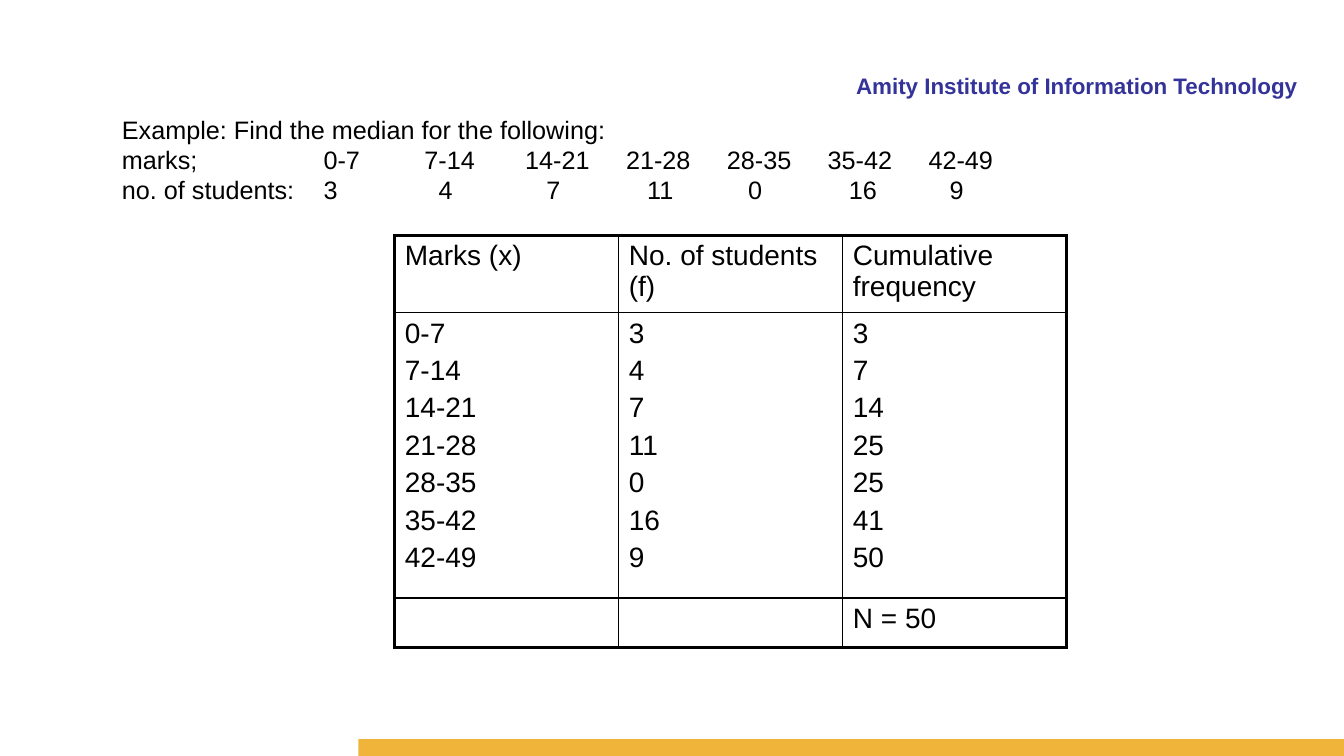
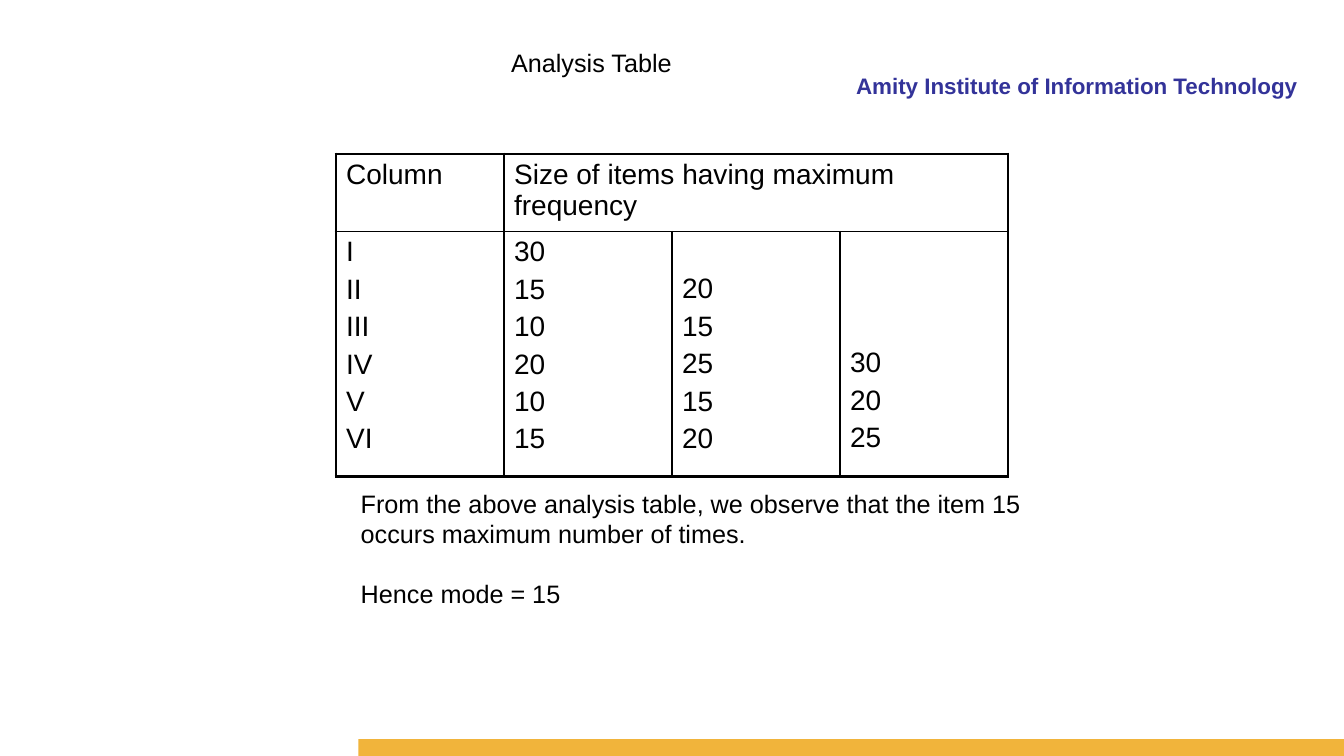
from lxml import etree
from pptx import Presentation
from pptx.dml.color import RGBColor
from pptx.enum.shapes import MSO_SHAPE
from pptx.enum.text import PP_ALIGN
from pptx.oxml.ns import qn
from pptx.util import Inches, Pt

LEFT, RIGHT = PP_ALIGN.LEFT, PP_ALIGN.RIGHT
RECTANGLE = MSO_SHAPE.RECTANGLE
SLIDE_WIDTH, SLIDE_HEIGHT = Inches(13.33), Inches(7.5)
GRID_COLUMNS, GRID_ROWS = 48, 27


def across(columns):
    return round(SLIDE_WIDTH * columns / GRID_COLUMNS)


def down(rows):
    return round(SLIDE_HEIGHT * rows / GRID_ROWS)


def color(value):
    return RGBColor.from_string(value)


def set_tabs(paragraph, stops):
    tab_list = etree.SubElement(paragraph._p.get_or_add_pPr(), qn("a:tabLst"))
    for stop in stops:
        etree.SubElement(tab_list, qn("a:tab"), pos=str(Inches(stop)), algn="l")


def write(frame, lines, font="Arial", size=18, ink="000000", bold=False,
          align=LEFT, gap=0, gaps={}, tabs={}):
    for index, line in enumerate(lines):
        paragraph = frame.add_paragraph() if index else frame.paragraphs[0]
        paragraph.alignment = align
        if index:
            paragraph.space_before = Pt(gaps.get(index, gap))
        if index in tabs:
            set_tabs(paragraph, tabs[index])
        run = paragraph.add_run()
        run.text = line
        run.font.name = font
        run.font.size = Pt(size)
        run.font.bold = bold
        run.font.color.rgb = color(ink)


class Deck:
    NAVY, GOLD, BLACK = "333399", "F1B43B", "000000"
    OUTER, INNER = 2.25, 1
    CELL_SIZE, CELL_GAP, CELL_LINE = 20, 4.4, 22

    def __init__(self):
        self.presentation = Presentation()
        self.presentation.slide_width = SLIDE_WIDTH
        self.presentation.slide_height = SLIDE_HEIGHT
        self.slide = None

    def new_slide(self):
        self.slide = self.presentation.slides.add_slide(self.presentation.slide_layouts[6])
        self.text(18.3, 2.4, 28.4, 1.2, ["Amity Institute of Information Technology"],
                  size=16, ink=self.NAVY, bold=True, align=RIGHT)
        self.band(12.8, 26.4, 35.2, 0.6)

    def band(self, left, top, width, height):
        shape = self.slide.shapes.add_shape(
            RECTANGLE, across(left), down(top), across(width), down(height))
        shape.shadow.inherit = False
        shape.fill.solid()
        shape.fill.fore_color.rgb = color(self.GOLD)
        shape.line.fill.background()

    def text(self, left, top, width, height, lines, **style):
        box = self.slide.shapes.add_textbox(
            across(left), down(top), across(width), down(height))
        box.text_frame.word_wrap = True
        write(box.text_frame, lines, **style)

    def table(self, left, top, column_width, heights, contents, merges=(), skipped={}):
        row_count, column_count = len(contents), len(contents[0])
        table = self.slide.shapes.add_table(
            row_count, column_count, across(left), down(top),
            across(column_width * column_count), down(sum(heights))).table
        table.first_row = table.horz_banding = False
        for column in table.columns:
            column.width = across(column_width)
        for row, height in zip(table.rows, heights):
            row.height = down(height)
        for first, last in merges:
            table.cell(*first).merge(table.cell(*last))
        for row, cells in enumerate(contents):
            for column, lines in enumerate(cells):
                cell = table.cell(row, column)
                if cell.is_spanned:
                    continue
                self.borders(cell, L=column == 0,
                             R=column + cell.span_width == column_count,
                             T=row == 0, B=row + cell.span_height == row_count)
                cell.fill.background()
                offset = skipped.get((row, column), 0)
                cell.margin_top = Inches(0.05) + Pt(offset * (self.CELL_LINE + self.CELL_GAP))
                write(cell.text_frame, lines, size=self.CELL_SIZE, gap=self.CELL_GAP)

    def borders(self, cell, **edges):
        properties = cell._tc.get_or_add_tcPr()
        for side, is_outer in edges.items():
            width = Pt(self.OUTER if is_outer else self.INNER)
            line = etree.SubElement(properties, qn(f"a:ln{side}"), w=str(width))
            fill = etree.SubElement(line, qn("a:solidFill"))
            etree.SubElement(fill, qn("a:srgbClr"), val=self.BLACK)


def median_slide(deck):
    marks = ["0-7", "7-14", "14-21", "21-28", "28-35", "35-42", "42-49"]
    students = ["3", "4", "7", "11", "0", "16", "9"]
    cumulative = ["3", "7", "14", "25", "25", "41", "50"]
    deck.new_slide()
    deck.text(4, 3.9, 32.15, 3.64, [
        "Example: Find the median for the following:",
        "\t".join(["marks;"] + marks),
        "\t".join(["no. of students:"] + students),
    ], tabs={1: range(2, 9), 2: [2, 3.14] + [inch + 0.21 for inch in range(4, 9)]})
    deck.table(14.1, 8.4, 8, [2.77, 10.19, 1.76], [
        [["Marks (x)"], ["No. of students (f)"], ["Cumulative frequency"]],
        [marks, students, cumulative],
        [[], [], ["N = 50"]],
    ])


def mode_slide(deck):
    deck.new_slide()
    deck.text(17.9, 1.5, 7, 1.45, ["Analysis Table"])
    deck.table(12, 5.5, 6, [2.77, 8.75], [
        [["Column"], ["Size of items having maximum frequency"], [], []],
        [["I", "II", "III", "IV", "V", "VI"],
         ["30", "15", "10", "20", "10", "15"],
         ["20", "15", "25", "15", "20"],
         ["30", "20", "25"]],
    ], merges=[((0, 1), (0, 3))], skipped={(1, 2): 1, (1, 3): 3})
    deck.text(12.53, 17.25, 25, 4.7, [
        "From the above analysis table, we observe that the item 15",
        "occurs maximum number of times.",
        "Hence mode = 15",
    ], gaps={2: 21.6})


def main():
    deck = Deck()
    median_slide(deck)
    mode_slide(deck)
    deck.presentation.save("out.pptx")


if __name__ == "__main__":
    main()
